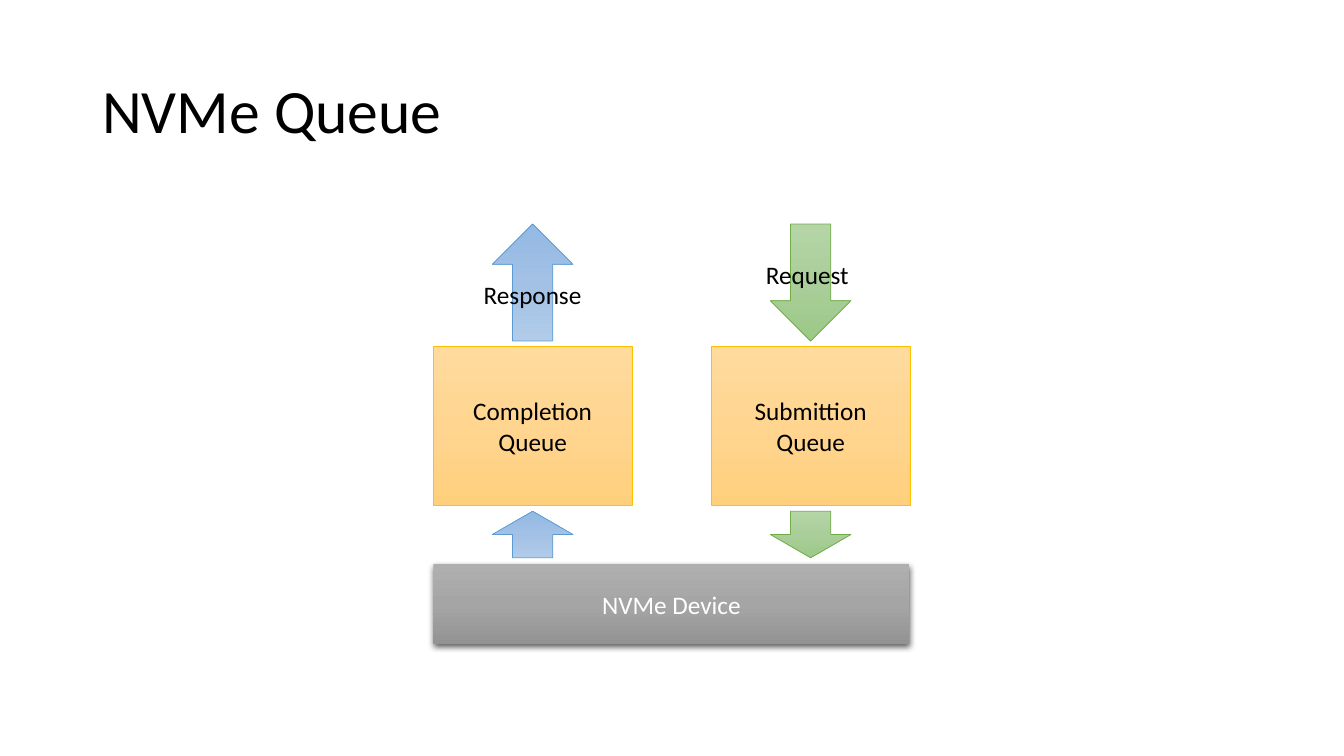
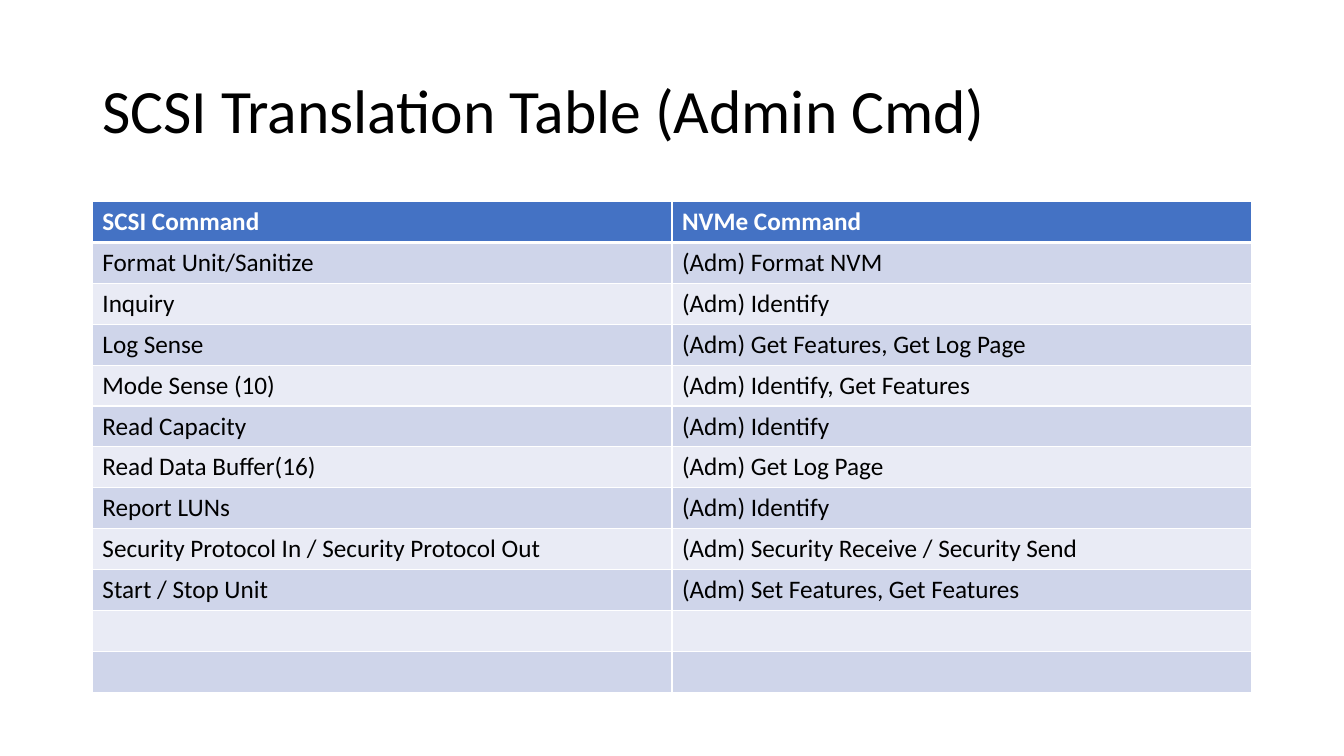
import copy
from typing import NamedTuple, Optional

import lxml.etree
import pptx
import pptx.dml.color
import pptx.enum.shapes
import pptx.enum.text
import pptx.oxml.ns
import pptx.shapes.autoshape
import pptx.slide
import pptx.table
import pptx.text.text
import pptx.util

Pt = pptx.util.Pt
RGBColor = pptx.dml.color.RGBColor
Shape = pptx.shapes.autoshape.Shape
Slide = pptx.slide.Slide
MSO_SHAPE = pptx.enum.shapes.MSO_SHAPE
ANCHOR = pptx.enum.text.MSO_ANCHOR
ALIGN = pptx.enum.text.PP_ALIGN
AUTO_SIZE = pptx.enum.text.MSO_AUTO_SIZE
qn = pptx.oxml.ns.qn

# Shared style
FONT = "Calibri"
BLACK = RGBColor(0x00, 0x00, 0x00)
WHITE = RGBColor(0xFF, 0xFF, 0xFF)
HEADER_BLUE = RGBColor(0x44, 0x72, 0xC4)
BAND_DARK = RGBColor(0xCF, 0xD5, 0xEA)
BAND_LIGHT = RGBColor(0xE9, 0xEB, 0xF5)
MARGIN, CONTENT_WIDTH = 66, 828


class Paint(NamedTuple):
    """Top-to-bottom gradient and an optional outline."""
    stops: tuple[RGBColor, RGBColor, RGBColor]
    line: Optional[RGBColor] = None


GREY = Paint((RGBColor(0xAF, 0xAF, 0xAF), RGBColor(0xA5, 0xA5, 0xA5),
              RGBColor(0x93, 0x93, 0x93)))
ORANGE = Paint((RGBColor(0xFF, 0xDB, 0x9E), RGBColor(0xFF, 0xD5, 0x90),
                RGBColor(0xFF, 0xD0, 0x7C)), RGBColor(0xFF, 0xC0, 0x00))
GREEN = Paint((RGBColor(0xB5, 0xD5, 0xA7), RGBColor(0xAA, 0xCE, 0x9A),
               RGBColor(0x9C, 0xC9, 0x87)), RGBColor(0x70, 0xAD, 0x47))
BLUE = Paint((RGBColor(0xB1, 0xCB, 0xE9), RGBColor(0xA3, 0xC1, 0xE5),
              RGBColor(0x93, 0xB9, 0xE4)), RGBColor(0x5B, 0x9B, 0xD5))


class Area(NamedTuple):
    """Position and size in points."""
    left: float
    top: float
    width: float
    height: float

    def lengths(self) -> list[pptx.util.Length]:
        return [Pt(value) for value in self]


class QueueLane(NamedTuple):
    left: float
    name: str
    label: str
    label_area: Area
    paint: Paint
    upward: bool


# Queue diagram
QUEUE_WIDTH, ARROW_WIDTH = 141.8, 57.6
QUEUE_TOP, QUEUE_HEIGHT = 247.6, 113.2
DEVICE_AREA = Area(309.6, 403.2, 340, 56.8)
ARROW_SPANS = ((160, 83.6), (365.2, 33.2))  # top and height of each arrow row
LANES = (
    QueueLane(508.2, "Submittion Queue", "Request",
              Area(540, 181.4, 74.2, 29), GREEN, False),
    QueueLane(309.6, "Completion Queue", "Response",
              Area(338.4, 196.2, 85, 29), BLUE, True),
)

# Translation table
TABLE_TOP, ROW_HEIGHT = 144, 29.22
COMMANDS = (
    ("SCSI Command", "NVMe Command"),
    ("Format Unit/Sanitize", "(Adm) Format NVM"),
    ("Inquiry", "(Adm) Identify"),
    ("Log Sense", "(Adm) Get Features, Get Log Page"),
    ("Mode Sense (10)", "(Adm) Identify, Get Features"),
    ("Read Capacity", "(Adm) Identify"),
    ("Read Data Buffer(16)", "(Adm) Get Log Page"),
    ("Report LUNs", "(Adm) Identify"),
    ("Security Protocol In / Security Protocol Out",
     "(Adm) Security Receive / Security Send"),
    ("Start / Stop Unit", "(Adm) Set Features, Get Features"),
    ("", ""),
    ("", ""),
)


def write_text(frame: pptx.text.text.TextFrame, text: str, *, size: float = 18,
               color: RGBColor = BLACK, bold: bool = False,
               align: ALIGN = ALIGN.LEFT, spacing: float = 1.0) -> None:
    para = frame.paragraphs[0]
    para.alignment = align
    para.line_spacing = spacing
    para.font.size = Pt(size)
    if text:
        span = para.add_run()
        span.text = text
        span.font.name = FONT
        span.font.size = Pt(size)
        span.font.bold = bold
        span.font.color.rgb = color


def add_page(deck: pptx.presentation.Presentation, title: str) -> Slide:
    page = deck.slides.add_slide(deck.slide_layouts[6])
    box = page.shapes.add_textbox(
        *Area(MARGIN, 28.75, CONTENT_WIDTH, 104.4).lengths())
    box.text_frame.word_wrap = True
    box.text_frame.vertical_anchor = ANCHOR.MIDDLE
    write_text(box.text_frame, title, size=44, spacing=0.9)
    return page


def add_painted_shape(page: Slide, kind: MSO_SHAPE, area: Area,
                      paint: Paint) -> Shape:
    shape = page.shapes.add_shape(kind, *area.lengths())
    shape.shadow.inherit = False
    shape.fill.gradient()
    shape.fill.gradient_angle = 270
    # The default gradient has two stops; add the middle one
    stop_list = shape.element.spPr.find(".//" + qn("a:gsLst"))
    stop_list.insert(1, copy.deepcopy(stop_list[0]))
    for index, stop in enumerate(shape.fill.gradient_stops):
        stop.position = index / 2
        stop.color.rgb = paint.stops[index]
    if paint.line is None:
        shape.line.fill.background()
    else:
        shape.line.color.rgb = paint.line
        shape.line.width = Pt(0.5)
    return shape


def add_block(page: Slide, area: Area, text: str, paint: Paint,
              color: RGBColor = BLACK) -> Shape:
    block = add_painted_shape(page, MSO_SHAPE.RECTANGLE, area, paint)
    block.text_frame.word_wrap = True
    block.text_frame.vertical_anchor = ANCHOR.MIDDLE
    write_text(block.text_frame, text, color=color, align=ALIGN.CENTER)
    return block


def add_drop_shadow(shape: Shape) -> None:
    effects = shape.element.spPr.find(qn("a:effectLst"))
    shadow = lxml.etree.SubElement(
        effects, qn("a:outerShdw"), blurRad=str(Pt(4.5)), dist=str(Pt(1.5)),
        dir="5400000", algn="ctr", rotWithShape="0")
    color = lxml.etree.SubElement(shadow, qn("a:srgbClr"), val=str(BLACK))
    lxml.etree.SubElement(color, qn("a:alpha"), val="63000")


def add_lane(page: Slide, lane: QueueLane) -> None:
    add_block(page, Area(lane.left, QUEUE_TOP, QUEUE_WIDTH, QUEUE_HEIGHT),
              lane.name, ORANGE)
    arrow_left = lane.left + (QUEUE_WIDTH - ARROW_WIDTH) / 2
    for top, height in ARROW_SPANS:
        arrow = add_painted_shape(
            page, MSO_SHAPE.DOWN_ARROW,
            Area(arrow_left, top, ARROW_WIDTH, height), lane.paint)
        if lane.upward:
            arrow.element.spPr.find(qn("a:xfrm")).set("flipV", "1")
    box = page.shapes.add_textbox(*lane.label_area.lengths())
    box.text_frame.word_wrap = False
    box.text_frame.auto_size = AUTO_SIZE.SHAPE_TO_FIT_TEXT
    write_text(box.text_frame, lane.label)


def set_borders(cell: pptx.table._Cell, top: float, bottom: float) -> None:
    properties = cell._tc.get_or_add_tcPr()
    widths = {"a:lnL": 1, "a:lnR": 1, "a:lnT": top, "a:lnB": bottom}
    for index, (tag, width) in enumerate(widths.items()):
        line = lxml.etree.Element(qn(tag), w=str(Pt(width)))
        fill = lxml.etree.SubElement(line, qn("a:solidFill"))
        lxml.etree.SubElement(fill, qn("a:srgbClr"), val=str(WHITE))
        properties.insert(index, line)


def add_command_table(page: Slide) -> None:
    area = Area(MARGIN, TABLE_TOP, CONTENT_WIDTH, ROW_HEIGHT * len(COMMANDS))
    table = page.shapes.add_table(
        len(COMMANDS), len(COMMANDS[0]), *area.lengths()).table
    table.horz_banding = False
    for row_index, texts in enumerate(COMMANDS):
        table.rows[row_index].height = Pt(ROW_HEIGHT)
        header = row_index == 0
        band = BAND_DARK if row_index % 2 else BAND_LIGHT
        for column_index, text in enumerate(texts):
            cell = table.cell(row_index, column_index)
            cell.fill.solid()
            cell.fill.fore_color.rgb = HEADER_BLUE if header else band
            set_borders(cell, top=3 if row_index == 1 else 1,
                        bottom=3 if header else 1)
            write_text(cell.text_frame, text, bold=header,
                       color=WHITE if header else BLACK)


def main() -> None:
    deck = pptx.Presentation()
    deck.slide_width, deck.slide_height = Pt(960), Pt(540)

    # Queue diagram
    page = add_page(deck, "NVMe Queue")
    device = add_block(page, DEVICE_AREA, "NVMe Device", GREY, WHITE)
    add_drop_shadow(device)
    for lane in LANES:
        add_lane(page, lane)

    # Translation table
    page = add_page(deck, "SCSI Translation Table (Admin Cmd)")
    add_command_table(page)

    deck.save("out.pptx")


if __name__ == "__main__":
    main()
